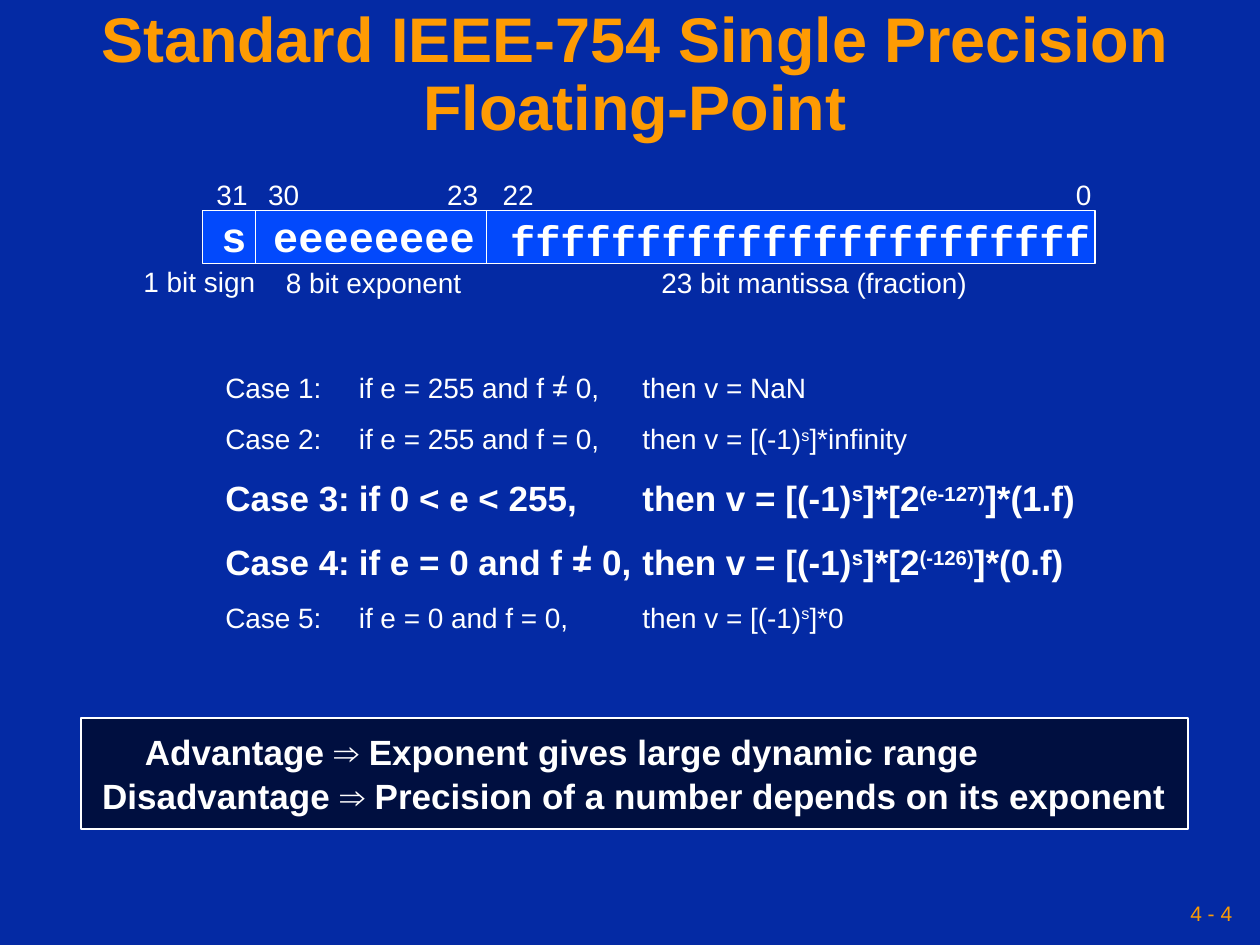
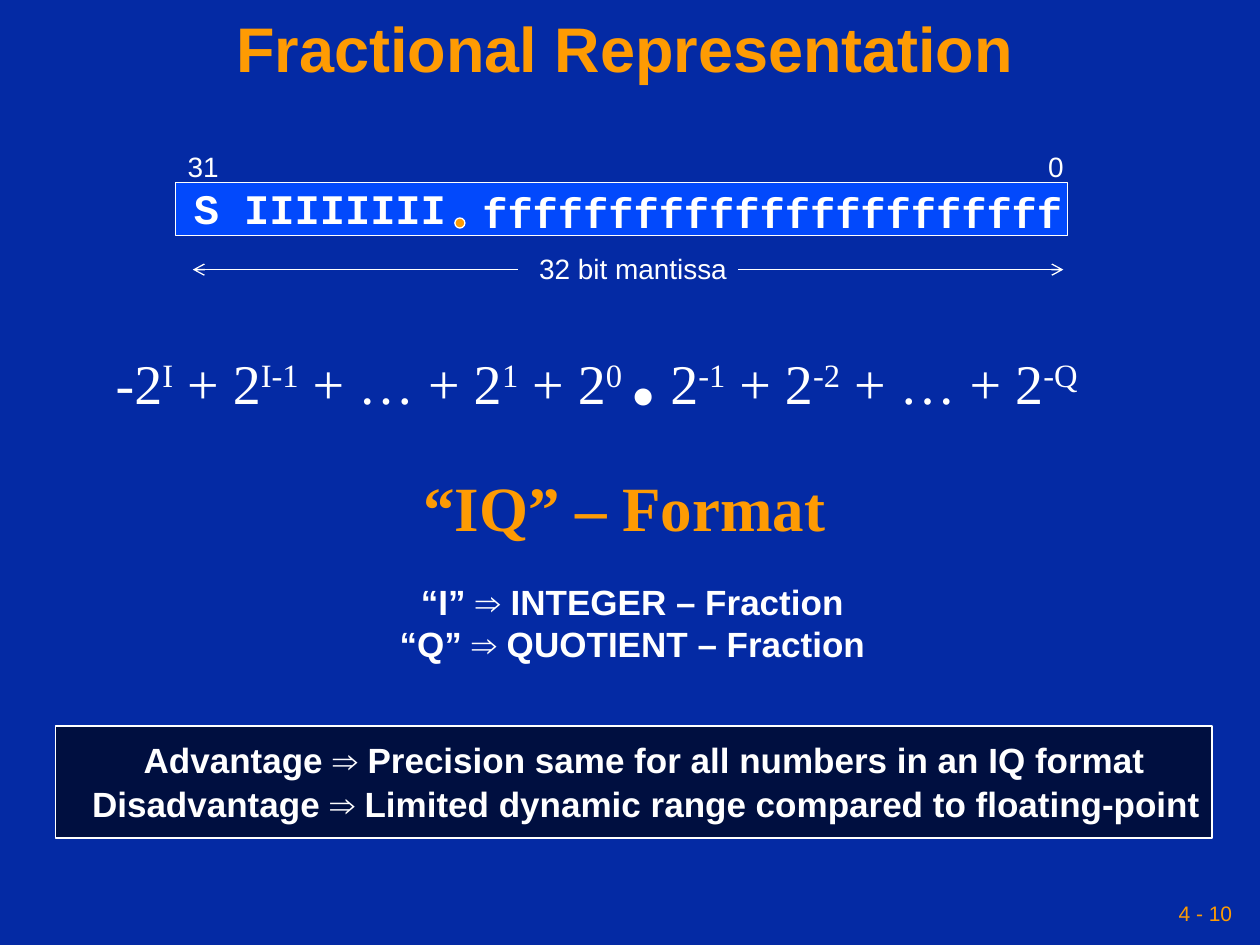
import pptx
import pptx.dml.color
import pptx.enum.shapes
import pptx.enum.text
import pptx.oxml.ns
import pptx.util
from dataclasses import dataclass
from lxml import etree

Inches = pptx.util.Inches
Pt = pptx.util.Pt
RGB = pptx.dml.color.RGBColor.from_string
Align = pptx.enum.text.PP_ALIGN
Anchor = pptx.enum.text.MSO_ANCHOR
Shape = pptx.enum.shapes.MSO_SHAPE
qn = pptx.oxml.ns.qn


@dataclass(frozen=True)
class Theme:
    background: str = "042AA4"
    accent: str = "FE9B03"
    white: str = "FFFFFF"
    register: str = "0249FC"
    panel: str = "000F40"
    sans: str = "Arial"
    mono: str = "Courier New"
    serif: str = "Times New Roman"
    title: int = 36
    formula: int = 32
    point: int = 60
    bits: int = 24
    strong: int = 20
    label: int = 16
    footer: int = 12


theme = Theme()


def write(shape, text, size=theme.label, color=theme.white, font=theme.sans,
          bold=False, align=Align.LEFT, anchor=Anchor.TOP, wrap=False,
          inset=0.1, indent=0, before=0, spacing=None, tabs=()):
    """Add one paragraph to a shape; text between carets is superscript."""
    frame = shape.text_frame
    if frame.text:
        paragraph = frame.add_paragraph()
        paragraph.space_before = Pt(before)
    else:
        paragraph = frame.paragraphs[0]
        frame.word_wrap = wrap
        frame.vertical_anchor = anchor
        frame.margin_left, frame.margin_right = Inches(inset), Inches(0.05)
        frame.margin_top = frame.margin_bottom = Inches(0.05)
    properties = paragraph._p.get_or_add_pPr()
    if indent:
        properties.set("marL", str(Inches(indent)))
    if tabs:
        stops = etree.SubElement(properties, qn("a:tabLst"))
        for stop in tabs:
            etree.SubElement(stops, qn("a:tab"), pos=str(Inches(stop)), algn="l")
    paragraph.alignment = align
    if spacing:
        paragraph.line_spacing = spacing
    for index, part in enumerate(text.split("^")):
        if not part:
            continue
        run = paragraph.add_run()
        run.text = part
        run.font.size, run.font.name, run.font.bold = Pt(size), font, bold
        run.font.color.rgb = RGB(color)
        if index % 2:
            run._r.get_or_add_rPr().set("baseline", "30000")
    return paragraph


def outlined(slide, kind, box, fill, width=0.75):
    shape = slide.shapes.add_shape(kind, *map(Inches, box))
    shape.shadow.inherit = False
    shape.fill.solid()
    shape.fill.fore_color.rgb = RGB(fill)
    shape.line.color.rgb = RGB(theme.white)
    shape.line.width = Pt(width)
    return shape


deck = pptx.Presentation()
deck.slide_width, deck.slide_height = Inches(10), Inches(7.5)
blank = deck.slide_layouts[6]
floating, fractional = deck.slides.add_slide(blank), deck.slides.add_slide(blank)

# Background, title and page number
for slide, title, title_left, title_top, page in (
    (floating, "Standard IEEE-754 Single Precision Floating-Point", 0.08, 0.19, "4 - 4"),
    (fractional, "Fractional Representation", 0, 0, "4 - 10"),
):
    slide.background.fill.solid()
    slide.background.fill.fore_color.rgb = RGB(theme.background)
    heading = slide.shapes.add_textbox(*map(Inches, (title_left, title_top, 9.92, 0.83)))
    write(heading, title, size=theme.title, color=theme.accent, bold=True, inset=0.05,
          align=Align.CENTER, anchor=Anchor.MIDDLE, wrap=True, spacing=0.9)
    footer = slide.shapes.add_textbox(*map(Inches, (6.83, 7.08, 3, 0.33)))
    write(footer, page, size=theme.footer, color=theme.accent, inset=0.05,
          align=Align.RIGHT, anchor=Anchor.MIDDLE, wrap=True)

# 32-bit registers: offsets and widths are relative to the register's corner
mantissa_bits = (2.34, -0.02, 4.8, "f" * 23)
registers = (
    (floating, 1.61, 1.67,
     ((0.05, -0.05, 0.4, "s"), (0.46, -0.05, 1.8, "e" * 8), mantissa_bits),
     ((0.01, -0.31, 0.44, "31"), (0.42, -0.31, 0.44, "30"), (1.84, -0.31, 0.44, "23"),
      (2.28, -0.31, 0.44, "22"), (6.83, -0.31, 0.32, "0"),
      (-0.57, 0.38, 1.09, "1 bit sign"), (0.56, 0.39, 1.59, "8 bit exponent"),
      (3.54, 0.39, 2.62, "23 bit mantissa (fraction)"))),
    (fractional, 1.39, 1.45,
     ((0.05, -0.05, 2.2, "S " + "I" * 8), mantissa_bits),
     ((0, -0.31, 0.44, "31"), (6.83, -0.31, 0.32, "0"),
      (2.79, 0.5, 1.69, "32 bit mantissa"))),
)
for slide, left, top, bits, labels in registers:
    outlined(slide, Shape.RECTANGLE, (left, top, 7.08, 0.42), theme.register)
    for group, height, style in (
        (bits, 0.5, dict(size=theme.bits, font=theme.mono, bold=True)),
        (labels, 0.37, dict(size=theme.label)),
    ):
        for dx, dy, width, text in group:
            field = slide.shapes.add_textbox(*map(Inches, (left + dx, top + dy, width, height)))
            write(field, text, **style)

outlined(fractional, Shape.OVAL, (3.61, 1.73, 0.08, 0.08), theme.accent)

# Field dividers and mantissa extent arrows
for slide, x1, y1, x2, y2, arrow in (
    (floating, 2.03, 1.67, 2.03, 2.09, False),
    (floating, 3.86, 1.67, 3.86, 2.09, False),
    (fractional, 4.11, 2.14, 1.53, 2.14, True),
    (fractional, 5.86, 2.14, 8.44, 2.14, True),
):
    rule = slide.shapes.add_connector(
        pptx.enum.shapes.MSO_CONNECTOR.STRAIGHT, *map(Inches, (x1, y1, x2, y2)))
    rule.line.color.rgb = RGB(theme.white)
    rule.line.width = Pt(0.75)
    if arrow:
        etree.SubElement(rule.line._get_or_add_ln(), qn("a:tailEnd"), type="arrow")
    etree.SubElement(rule._element.spPr, qn("a:effectLst"))

# Value of the number in each case
cases = floating.shapes.add_textbox(*map(Inches, (1.69, 2.89, 7.06, 2.19)))
for number, (condition, value, normal) in enumerate((
    ("if e = 255 and f = 0,", "NaN", False),
    ("if e = 255 and f = 0,", "[(-1)^s^]*infinity", False),
    ("if 0 < e < 255,", "[(-1)^s^]*[2^(e-127)^]*(1.f)", True),
    ("if e = 0 and f = 0,", "[(-1)^s^]*[2^(-126)^]*(0.f)", True),
    ("if e = 0 and f = 0,", "[(-1)^s^]*0", False),
), start=1):
    write(cases, f"Case {number}:\t{condition}\tthen v = {value}", bold=normal, wrap=True,
          size=theme.strong if normal else theme.label,
          before=12.5 if normal else 10, tabs=(1.06, 3.31))

# Strokes that turn "=" into "not equal"
for box, size, bold in (
    ((4.49, 4.27, 0.27, 0.37), theme.strong, True),
    ((4.32, 2.93, 0.26, 0.32), theme.label, False),
):
    stroke = floating.shapes.add_textbox(*map(Inches, box))
    write(stroke, "/", size=size, bold=bold, align=Align.CENTER, spacing=0.8)
    stroke.text_frame.margin_right = Inches(0.1)

# Place values and the name of the format
place_values = fractional.shapes.add_textbox(*map(Inches, (0.82, 2.33, 8.5, 1.1)))
series = write(
    place_values,
    "-2^I^ + 2^I-1^ + … + 2^1^ + 2^0 ^.^^ 2^-1^ + 2^-2^ + … + 2^-Q^",
    size=theme.formula, font=theme.serif, wrap=True)
for term in series.runs:
    if term.text == ".":
        term.font.size, term.font.bold = Pt(theme.point), True

format_name = fractional.shapes.add_textbox(*map(Inches, (3.17, 3.67, 3.52, 0.7)))
write(format_name, "“IQ” – Format", size=theme.title, color=theme.accent,
      font=theme.serif, bold=True, align=Align.CENTER)
meaning = fractional.shapes.add_textbox(*map(Inches, (3.0, 4.56, 3.99, 0.77)))
for text in ("“I” ⇒ INTEGER – Fraction", "“Q” ⇒ QUOTIENT – Fraction"):
    write(meaning, text, size=theme.strong, bold=True, align=Align.CENTER)

# Advantage and disadvantage panels
for slide, box, inset, indent, advantage, disadvantage in (
    (floating, (0.64, 5.7, 8.79, 0.88), 0.17, 0.34,
     "Exponent gives large dynamic range",
     "Precision of a number depends on its exponent"),
    (fractional, (0.44, 5.76, 9.18, 0.89), 0.29, 0.41,
     "Precision same for all numbers in an IQ format",
     "Limited dynamic range compared to floating-point"),
):
    panel = outlined(slide, Shape.RECTANGLE, box, theme.panel, width=1)
    style = dict(size=theme.strong, bold=True, wrap=True, inset=inset, anchor=Anchor.MIDDLE)
    write(panel, f"Advantage ⇒ {advantage}", indent=indent, **style)
    write(panel, f"Disadvantage ⇒ {disadvantage}", before=1, **style)

deck.save("out.pptx")
